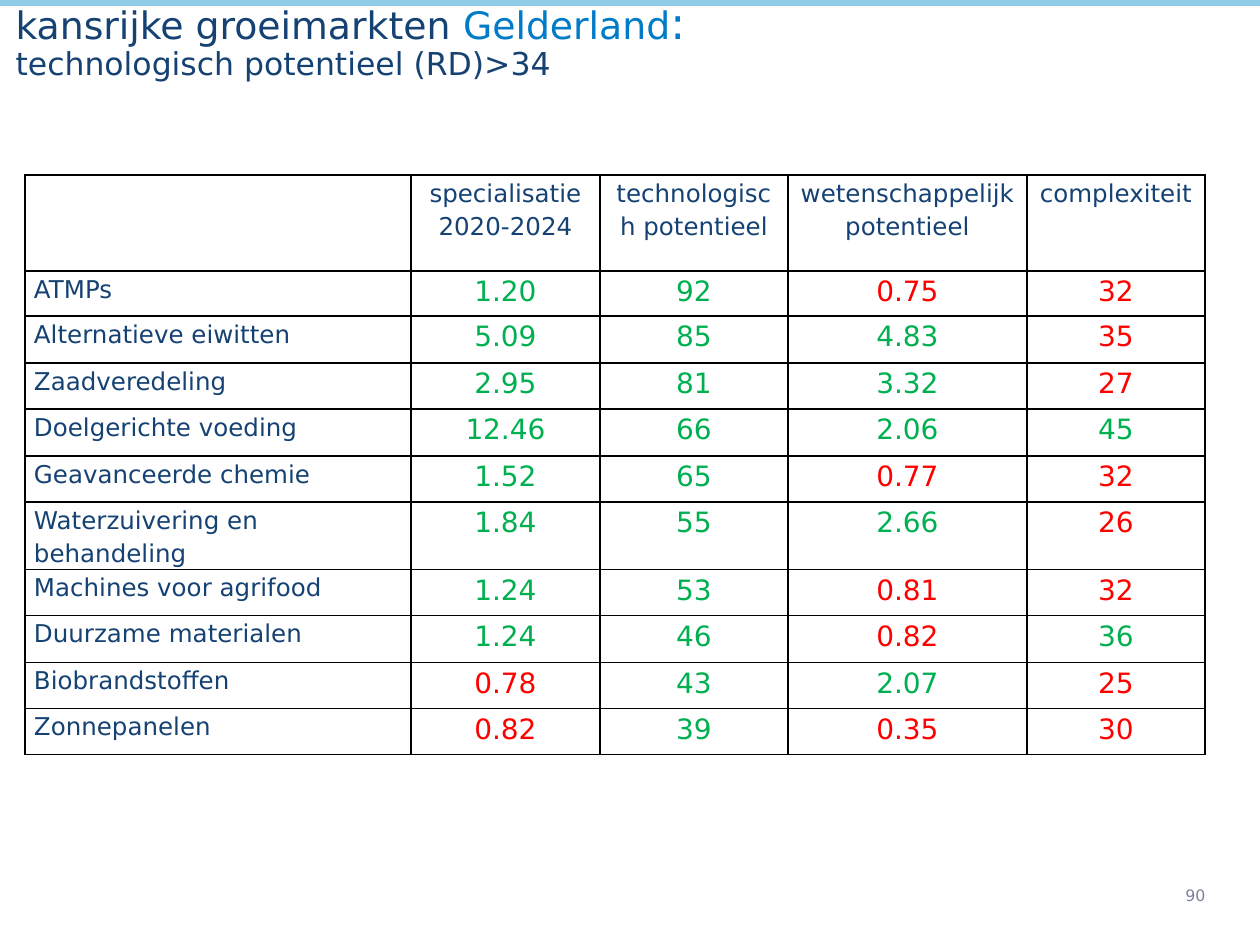
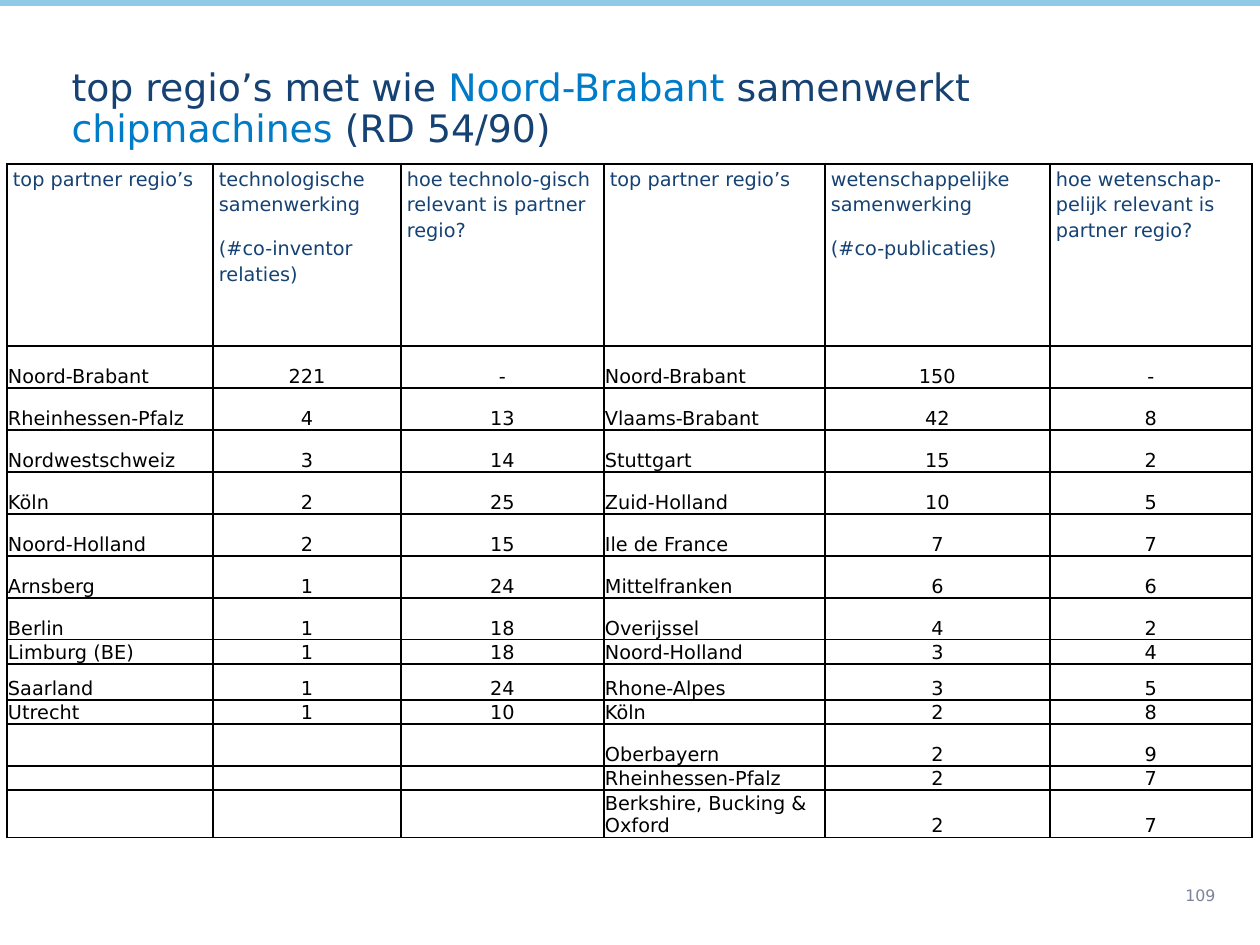
from lxml import etree
from pptx import Presentation
from pptx import util as u
from pptx.dml.color import RGBColor
from pptx.enum import shapes, text
from pptx.oxml import ns

PX = 914400 / 126
FONT = "DejaVu Sans"
COLORS = {
    "navy": "154273", "blue": "007BC7", "band": "8FCAE7", "grey": "7A839A",
    "green": "00B050", "red": "FF0000", "black": "000000",
}
LEFT, CENTER = text.PP_ALIGN.LEFT, text.PP_ALIGN.CENTER
TOP, MIDDLE, BOTTOM = (text.MSO_ANCHOR.TOP, text.MSO_ANCHOR.MIDDLE,
                       text.MSO_ANCHOR.BOTTOM)


def emu(px):
    return u.Emu(round(px * PX))


def rgb(name):
    return RGBColor.from_string(COLORS[name])


class Report:
    """Holds the deck, its style and the current page."""

    def __init__(self):
        self.deck = Presentation()
        self.deck.slide_width, self.deck.slide_height = emu(1260), emu(945)

    def new_page(self, number):
        self.page = self.deck.slides.add_slide(self.deck.slide_layouts[5])
        band = self.page.shapes.add_shape(
            shapes.MSO_SHAPE.RECTANGLE, 0, 0, emu(1260), emu(5))
        band.shadow.inherit = False
        band.fill.solid()
        band.fill.fore_color.rgb = band.line.color.rgb = rgb("band")
        band.line.width = u.Pt(0.75)
        box = self.page.shapes.add_textbox(
            emu(1173), emu(869), emu(86), emu(52))
        box.text_frame.word_wrap = True
        box.text_frame.vertical_anchor = MIDDLE
        self.span(box.text_frame.paragraphs[0], str(number), "grey", 9)

    def span(self, para, words, color, size):
        run = para.add_run()
        run.text = words
        run.font.name, run.font.size = FONT, u.Pt(size)
        run.font.color.rgb = rgb(color)

    def title(self, left, top, width, height, lines):
        """Each line is a list of (words, color, size) spans."""
        box = self.page.shapes.title
        box.left, box.top, box.width, box.height = map(
            emu, (left, top, width, height))
        frame = box.text_frame
        frame.auto_size = text.MSO_AUTO_SIZE.NONE
        frame.word_wrap = True
        frame.vertical_anchor = BOTTOM
        for index, line in enumerate(lines):
            para = frame.add_paragraph() if index else frame.paragraphs[0]
            para.alignment, para.line_spacing = LEFT, 0.9
            for words, color, size in line:
                self.span(para, words, color, size)

    def table(self, left, top, widths, heights):
        grid = self.page.shapes.add_table(
            len(heights), len(widths), emu(left), emu(top),
            emu(sum(widths)), emu(sum(heights))).table
        grid.first_row = grid.horz_banding = False
        for column, width in zip(grid.columns, widths):
            column.width = emu(width)
        for row, height in zip(grid.rows, heights):
            row.height = emu(height)
        return grid

    def cell(self, cell, paragraphs, color, size, align=LEFT, anchor=TOP,
             insets=(9, 0, 9, 0), spacing=1.15):
        cell.fill.background()
        (cell.margin_left, cell.margin_top, cell.margin_right,
         cell.margin_bottom) = map(emu, insets)
        cell.vertical_anchor = anchor
        self.borders(cell)
        for index, words in enumerate(paragraphs):
            frame = cell.text_frame
            para = frame.add_paragraph() if index else frame.paragraphs[0]
            para.alignment, para.line_spacing = align, spacing
            if spacing > 1:
                para.space_after = u.Pt(10)
            if words:
                self.span(para, words, color, size)
            else:
                etree.SubElement(para._p, ns.qn("a:endParaRPr"),
                                 sz=str(size * 100))

    def borders(self, cell):
        properties = cell._tc.get_or_add_tcPr()
        for index, side in enumerate("LRTB"):
            line = etree.Element(ns.qn(f"a:ln{side}"), w=str(u.Pt(1)))
            fill = etree.SubElement(line, ns.qn("a:solidFill"))
            etree.SubElement(fill, ns.qn("a:srgbClr"), val=COLORS["black"])
            properties.insert(index, line)


def growth_markets(report):
    report.new_page(90)
    report.title(3, 0, 1255, 89, [
        [("kansrijke groeimarkten ", "navy", 21.6),
         ("Gelderland", "blue", 21.6), (":", "blue", 25.2)],
        [("technologisch potentieel (RD)>34", "navy", 18)],
    ])
    headings = ["", "specialisatie 2020-2024", "technologisch potentieel",
                "wetenschappelijk potentieel", "complexiteit"]
    green_from = [1, 35, 1, 36]
    markets = [
        ("ATMPs", "1.20", "92", "0.75", "32"),
        ("Alternatieve eiwitten", "5.09", "85", "4.83", "35"),
        ("Zaadveredeling", "2.95", "81", "3.32", "27"),
        ("Doelgerichte voeding", "12.46", "66", "2.06", "45"),
        ("Geavanceerde chemie", "1.52", "65", "0.77", "32"),
        ("Waterzuivering en behandeling", "1.84", "55", "2.66", "26"),
        ("Machines voor agrifood", "1.24", "53", "0.81", "32"),
        ("Duurzame materialen", "1.24", "46", "0.82", "36"),
        ("Biobrandstoffen", "0.78", "43", "2.07", "25"),
        ("Zonnepanelen", "0.82", "39", "0.35", "30"),
    ]
    grid = report.table(25, 175, [386, 189, 188, 239, 178],
                        [96, 45] + [47, 46] * 4 + [46])
    for column, heading in enumerate(headings):
        report.cell(grid.cell(0, column), [heading], "navy", 14, CENTER)
    for row, (market, *values) in enumerate(markets, 1):
        report.cell(grid.cell(row, 0), [market], "navy", 14)
        for column, (value, limit) in enumerate(zip(values, green_from), 1):
            color = "green" if float(value) >= limit else "red"
            report.cell(grid.cell(row, column), [value], color, 16, CENTER)


def partner_regions(report):
    report.new_page(109)
    report.title(59, 67, 1201, 90, [
        [("top regio’s met wie ", "navy", 21.6),
         ("Noord-Brabant", "blue", 21.6), (" samenwerkt", "navy", 21.6)],
        [("chipmachines ", "blue", 21.6), ("(RD 54/90)", "navy", 21.6)],
    ])
    headings = [
        ["top partner regio’s"],
        ["technologische samenwerking", "(#co-inventor relaties)"],
        ["hoe technolo-gisch relevant is partner regio?"],
        ["top partner regio’s"],
        ["wetenschappelijke samenwerking", "(#co-publicaties)"],
        ["hoe wetenschap-pelijk relevant is partner regio?"],
    ]
    partners = [
        ("Noord-Brabant", "221", "-", "Noord-Brabant", "150", "-"),
        ("Rheinhessen-Pfalz", "4", "13", "Vlaams-Brabant", "42", "8"),
        ("Nordwestschweiz", "3", "14", "Stuttgart", "15", "2"),
        ("Köln", "2", "25", "Zuid-Holland", "10", "5"),
        ("Noord-Holland", "2", "15", "Ile de France", "7", "7"),
        ("Arnsberg", "1", "24", "Mittelfranken", "6", "6"),
        ("Berlin", "1", "18", "Overijssel", "4", "2"),
        ("Limburg (BE)", "1", "18", "Noord-Holland", "3", "4"),
        ("Saarland", "1", "24", "Rhone-Alpes", "3", "5"),
        ("Utrecht", "1", "10", "Köln", "2", "8"),
        ("", "", "", "Oberbayern", "2", "9"),
        ("", "", "", "Rheinhessen-Pfalz", "2", "7"),
        ("", "", "", "Berkshire, Bucking & Oxford", "2", "7"),
    ]
    grid = report.table(7, 164, [206, 188, 203, 221, 225, 202],
                        [182] + [42] * 7 + [23, 36, 23, 42, 23, 46])
    for column, heading in enumerate(headings):
        report.cell(grid.cell(0, column), heading, "navy", 11,
                    insets=(6, 1, 6, 0))
    for row, partner in enumerate(partners, 1):
        for column, value in enumerate(partner):
            align = CENTER if column % 3 else LEFT
            report.cell(grid.cell(row, column), [value], "black", 11, align,
                        BOTTOM, insets=(1, 1, 1, 0), spacing=1.0)


def main():
    report = Report()
    growth_markets(report)
    partner_regions(report)
    report.deck.save("out.pptx")


if __name__ == "__main__":
    main()
